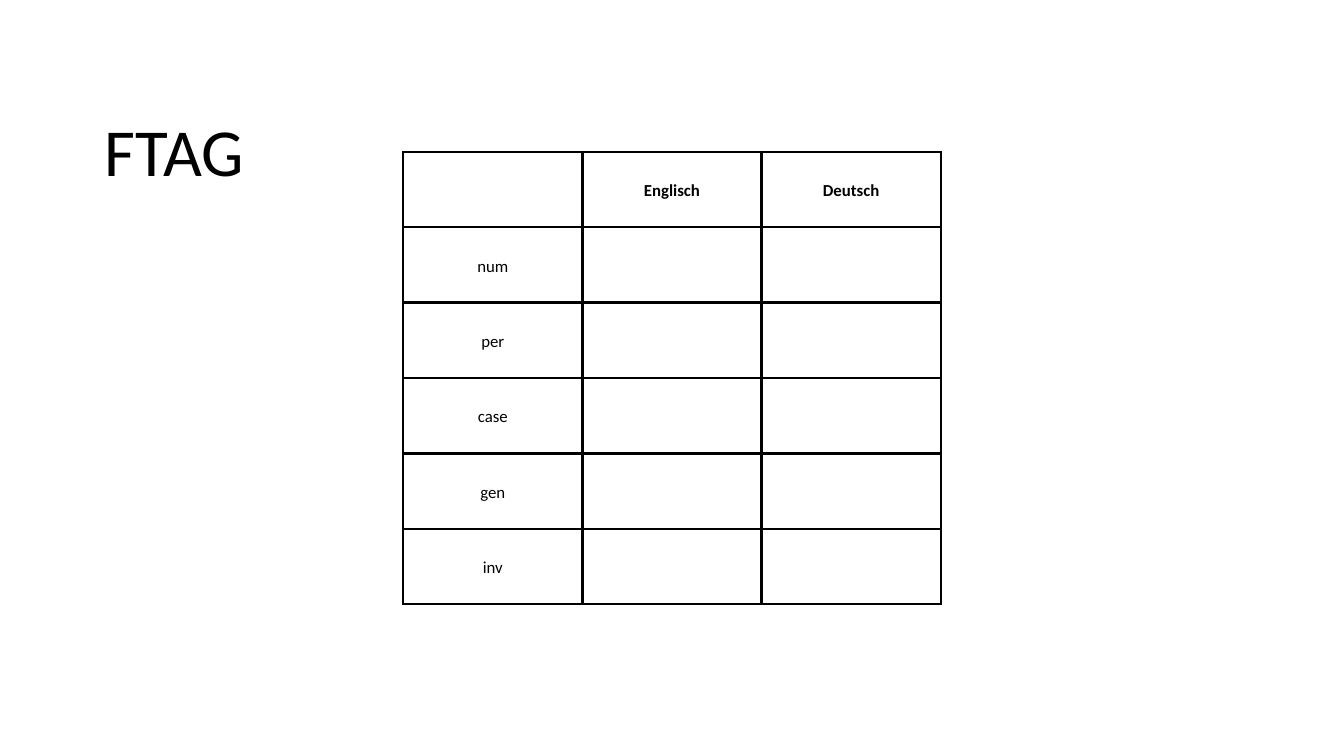
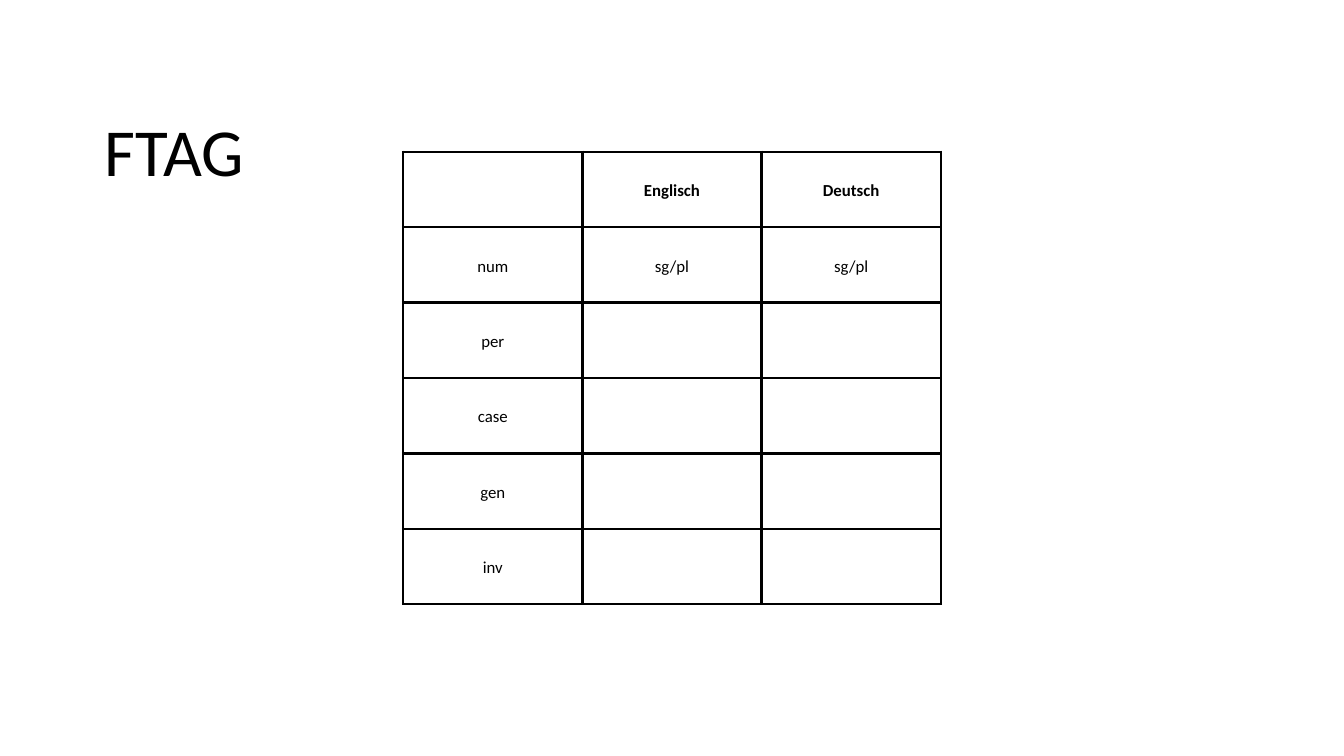
import pptx
import pptx.util
import pptx.dml.color
import pptx.enum.text
import pptx.oxml.ns
from lxml import etree

Inches, Pt = pptx.util.Inches, pptx.util.Pt
BLACK = "000000"
FEATURES = ["num", "per", "case", "gen", "inv"]
LANGUAGES = ["Englisch", "Deutsch"]
VALUES = [{}, {"num": ["sg/pl", "sg/pl"]}]
TITLE = {"size": Pt(72), "name": "Calibri", "bold": False}
HEAD = {"size": Pt(18), "name": "Calibri", "bold": True}
BODY = {**HEAD, "bold": False}
CELL = {"vertical_anchor": pptx.enum.text.MSO_ANCHOR.MIDDLE}
CELL.update({f"margin_{side}": Inches(0.21) for side in ("left", "right", "top", "bottom")})
FRAME = {f"margin_{side}": 0 for side in ("left", "right", "top", "bottom")}
FRAME.update(word_wrap=True, auto_size=pptx.enum.text.MSO_AUTO_SIZE.SHAPE_TO_FIT_TEXT)


def write(tf, text, style, spacing, align):
    p = tf.paragraphs[0]
    p.alignment = align
    p.line_spacing = Pt(spacing)
    r = p.add_run()
    r.text = text
    for key, value in style.items():
        setattr(r.font, key, value)
    r.font.color.rgb = pptx.dml.color.RGBColor.from_string(BLACK)


def add_borders(cell, color, width):
    tcPr = cell._tc.get_or_add_tcPr()
    qn = pptx.oxml.ns.qn
    for edge in ("lnL", "lnR", "lnT", "lnB"):
        ln = etree.SubElement(tcPr, qn(f"a:{edge}"), w=str(Pt(width)))
        fill = etree.SubElement(ln, qn("a:solidFill"))
        etree.SubElement(fill, qn("a:srgbClr"), val=color)


prs = pptx.Presentation()
prs.slide_width, prs.slide_height = Inches(20), Inches(11.25)

for values in VALUES:
    s = prs.slides.add_slide(prs.slide_layouts[6])
    rows = [["", *LANGUAGES]]
    rows += [[feature, *values.get(feature, ["", ""])] for feature in FEATURES]

    table = s.shapes.add_table(
        len(rows), len(rows[0]), Inches(6), Inches(2.26), Inches(8), Inches(6.73)).table
    table.first_row = table.horz_banding = False
    for i, row in enumerate(rows):
        for j, text in enumerate(row):
            cell = table.cell(i, j)
            add_borders(cell, BLACK, 3)
            cell.fill.background()
            for key, value in CELL.items():
                setattr(cell, key, value)
            if text:
                write(cell.text_frame, text, BODY if i else HEAD, 25.2,
                      pptx.enum.text.PP_ALIGN.CENTER)

    sp = s.shapes.add_textbox(Inches(1.56), Inches(1.43), Inches(16.88), Inches(1.33))
    for key, value in FRAME.items():
        setattr(sp.text_frame, key, value)
    write(sp.text_frame, "FTAG", TITLE, 100.8, pptx.enum.text.PP_ALIGN.LEFT)

prs.save("out.pptx")
